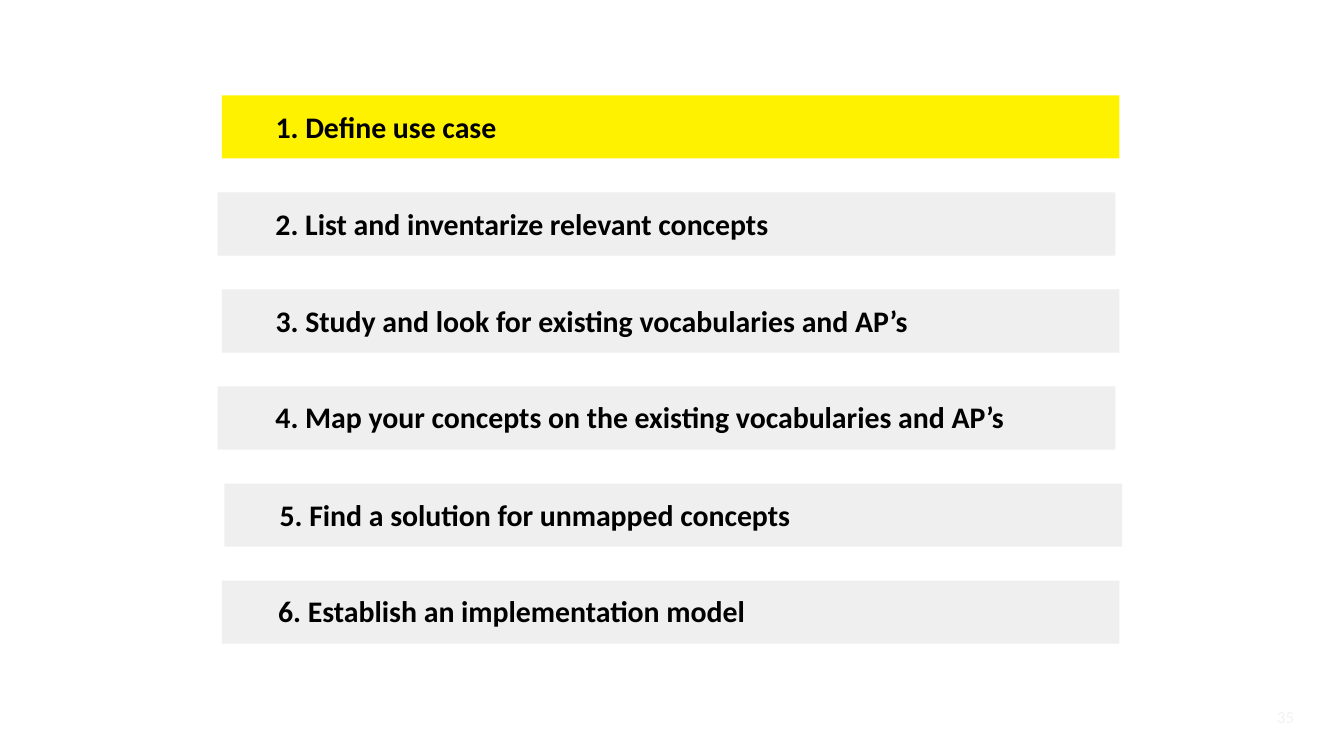
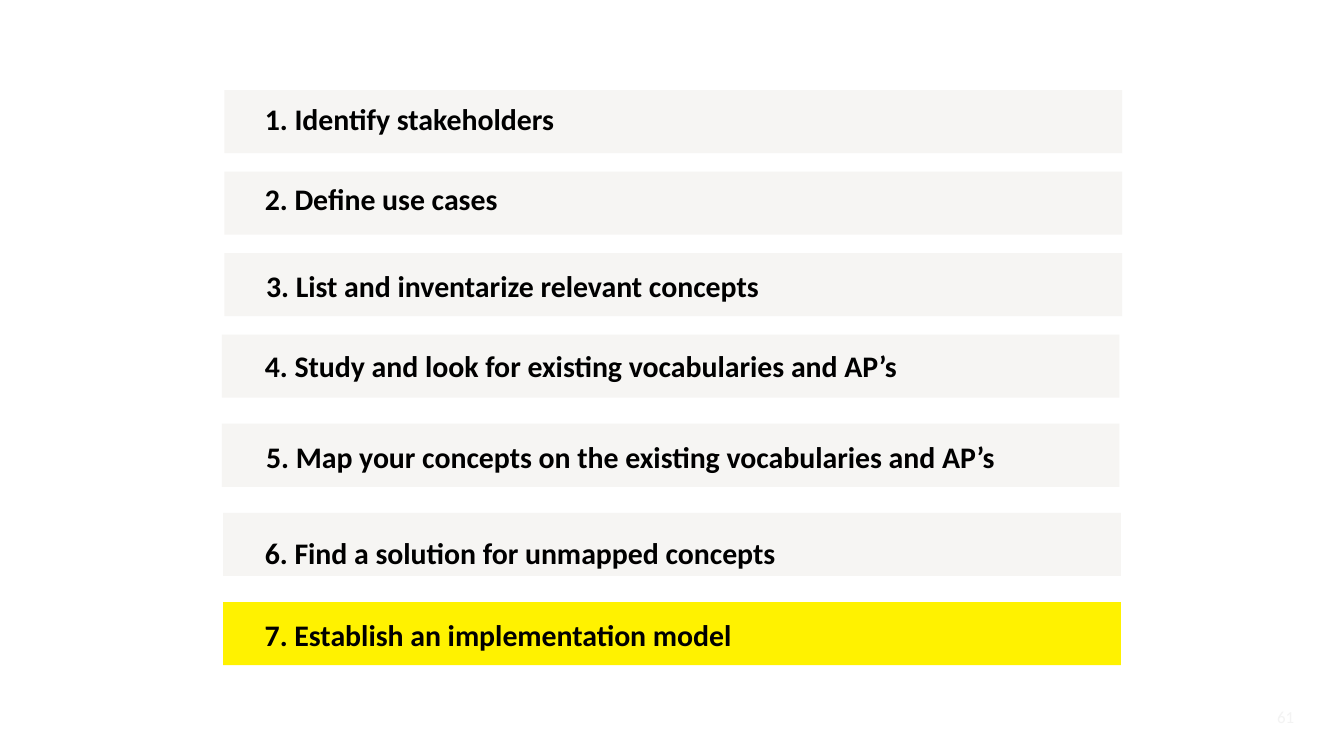
from pptx import Presentation
from pptx.dml.color import RGBColor
from pptx.enum.shapes import MSO_SHAPE
from pptx.enum.text import PP_ALIGN
from pptx.util import Inches, Pt

BAR_W, BAR_H = 6.68, 0.47
WIDE, NARROW = (6.38, 0.16), (6.07, 0.27)
YELLOW, GREY, WARM_GREY = "FFF200", "EFEFEF", "F6F5F3"


def rgb(value):
    return RGBColor.from_string(value)


def add_text(slide, text, left, top, size, points, color, bold=False, align=PP_ALIGN.LEFT):
    tf = slide.shapes.add_textbox(*map(Inches, (left, top, *size))).text_frame
    tf.word_wrap = True
    tf.margin_left = tf.margin_top = tf.margin_right = tf.margin_bottom = 0
    p = tf.paragraphs[0]
    p.text = text
    p.alignment = align
    p.font.name = "Calibri"
    p.font.size = Pt(points)
    p.font.bold = bold
    p.font.color.rgb = rgb(color)


prs = Presentation()
prs.slide_width = Inches(10)
prs.slide_height = prs.slide_width * 9 // 16

use_case_steps = [
    ("Define use case", 1.65, 2.05, 0.1, WIDE),
    ("List and inventarize relevant concepts", 1.62, 2.05, 0.1, NARROW),
    ("Study and look for existing vocabularies and AP’s", 1.65, 2.05, 0.1, WIDE),
    ("Map your concepts on the existing vocabularies and AP’s", 1.62, 2.05, 0.09, NARROW),
    ("Find a solution for unmapped concepts", 1.67, 2.08, 0.1, WIDE),
    ("Establish an implementation model", 1.65, 2.07, 0.09, NARROW),
]
stakeholder_steps = [
    ("Identify stakeholders", 1.67, 1.97, 0.08, WIDE),
    ("Define use cases", 1.67, 1.97, 0.07, WIDE),
    ("List and inventarize relevant concepts", 1.67, 1.98, 0.11, NARROW),
    ("Study and look for existing vocabularies and AP’s", 1.65, 1.97, 0.1, WIDE),
    ("Map your concepts on the existing vocabularies and AP’s", 1.65, 1.98, 0.11, NARROW),
    ("Find a solution for unmapped concepts", 1.66, 1.97, 0.16, WIDE),
    ("Establish an implementation model", 1.66, 1.97, 0.11, NARROW),
]
use_case_tops = [0.71 + 3.61 / 5 * i for i in range(6)]
stakeholder_tops = [0.67 + 1.82 / 3 * min(i, 3) + 1.99 / 3 * max(i - 3, 0) for i in range(7)]

agendas = [
    (use_case_steps, use_case_tops, 1, GREY, "35"),
    (stakeholder_steps, stakeholder_tops, 7, WARM_GREY, "61"),
]

for steps, tops, current, idle_color, page in agendas:
    s = prs.slides.add_slide(prs.slide_layouts[6])
    s.background.fill.solid()
    s.background.fill.fore_color.rgb = rgb("FFFFFF")
    for number, (step, top) in enumerate(zip(steps, tops), 1):
        label, bar_left, text_left, drop, size = step
        sp = s.shapes.add_shape(MSO_SHAPE.RECTANGLE, *map(Inches, (bar_left, top, BAR_W, BAR_H)))
        sp.shadow.inherit = False
        sp.fill.solid()
        sp.fill.fore_color.rgb = rgb(YELLOW if number == current else idle_color)
        sp.line.fill.background()
        add_text(s, f"{number}. {label}", text_left, top + drop, size, 16, "000000", bold=True)
    add_text(s, page, 9.13, 5.26, (0.5, 0.16), 9, "F3F3F3", align=PP_ALIGN.RIGHT)

prs.save("out.pptx")
